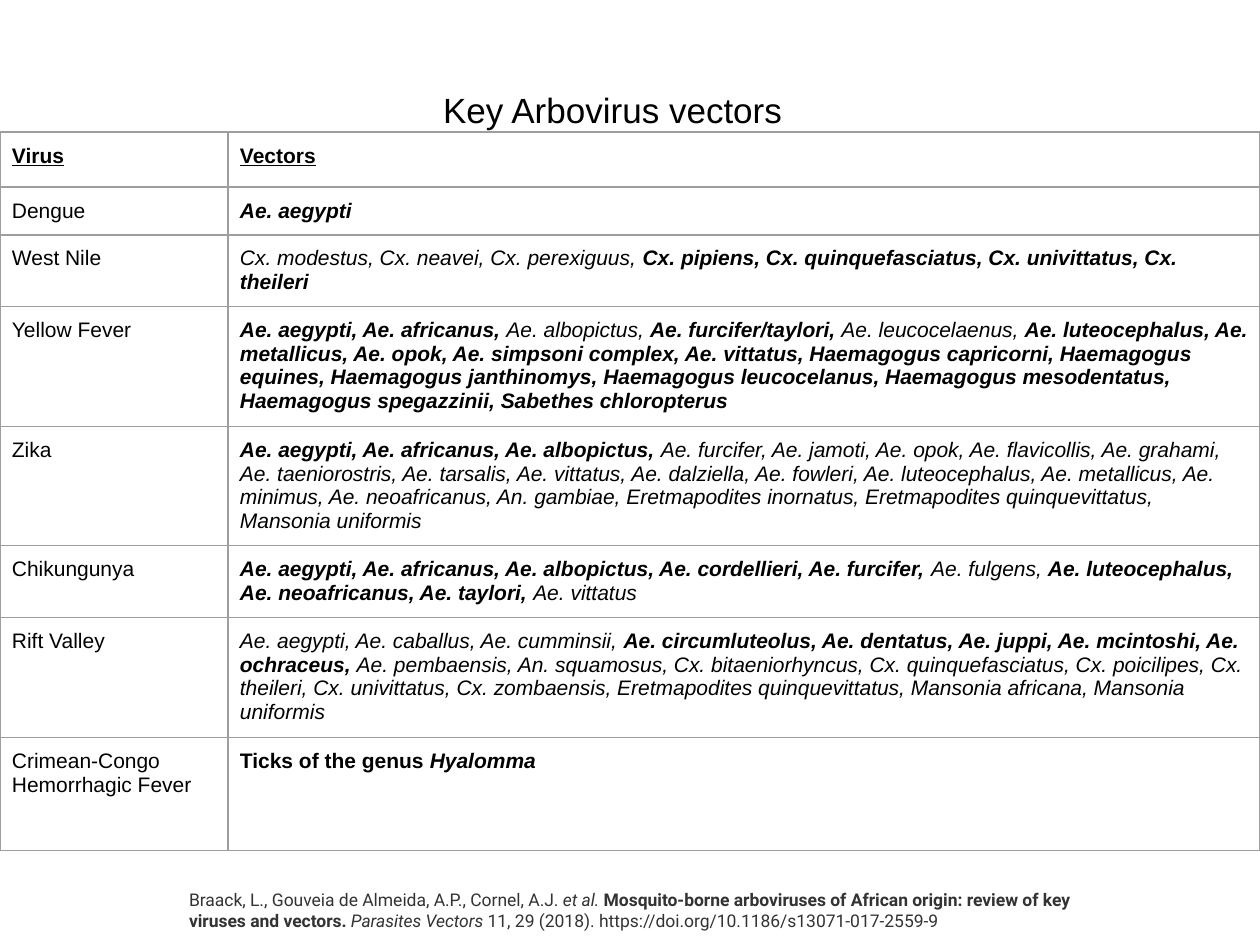
from dataclasses import dataclass

from lxml import etree
from pptx import Presentation, util as u
from pptx.dml.color import RGBColor
from pptx.enum import text
from pptx.oxml.ns import qn

PX_PER_INCH = 126


@dataclass(frozen=True)
class Theme:
    font: str = "Arial"
    citation_font: str = "Roboto"
    ink: str = "000000"
    citation_ink: str = "333333"
    border: str = "9E9E9E"
    title_size: int = 20
    table_size: int = 12
    citation_size: int = 10
    border_width: float = 0.75
    inset: int = 12


THEME = Theme()

# Each vector entry is a list of (text, style); b = bold, i = italic, u = underlined
ROWS = [
    (55, [("Virus", "bu")], [("Vectors", "bu")]),
    (48, [("Dengue", "")], [("Ae. aegypti", "bi")]),
    (72, [("West Nile", "")], [
        ("Cx. modestus, Cx. neavei, Cx. perexiguus, ", "i"),
        ("Cx. pipiens, Cx. quinquefasciatus, Cx. univittatus, Cx. theileri", "bi")]),
    (120, [("Yellow Fever", "")], [
        ("Ae. aegypti, Ae. africanus, ", "bi"),
        ("Ae. albopictus, ", "i"),
        ("Ae. furcifer/taylori, ", "bi"),
        ("Ae. leucocelaenus, ", "i"),
        ("Ae. luteocephalus, Ae. metallicus, Ae. opok, Ae. simpsoni complex, "
         "Ae. vittatus, Haemagogus capricorni, Haemagogus equines, "
         "Haemagogus janthinomys, Haemagogus leucocelanus, Haemagogus mesodentatus, "
         "Haemagogus spegazzinii, Sabethes chloropterus", "bi")]),
    (119, [("Zika", "")], [
        ("Ae. aegypti, Ae. africanus, Ae. albopictus, ", "bi"),
        ("Ae. furcifer, Ae. jamoti, Ae. opok, Ae. flavicollis, Ae. grahami, "
         "Ae. taeniorostris, Ae. tarsalis, Ae. vittatus, Ae. dalziella, Ae. fowleri, "
         "Ae. luteocephalus, Ae. metallicus, Ae. minimus, Ae. neoafricanus, "
         "An. gambiae, Eretmapodites inornatus, Eretmapodites quinquevittatus, "
         "Mansonia uniformis", "i")]),
    (72, [("Chikungunya", "")], [
        ("Ae. aegypti, Ae. africanus, Ae. albopictus, Ae. cordellieri, Ae. furcifer, ", "bi"),
        ("Ae. fulgens, ", "i"),
        ("Ae. luteocephalus, Ae. neoafricanus, Ae. taylori, ", "bi"),
        ("Ae. vittatus", "i")]),
    (120, [("Rift Valley", "")], [
        ("Ae. aegypti, Ae. caballus, Ae. cumminsii, ", "i"),
        ("Ae. circumluteolus, Ae. dentatus, Ae. juppi, Ae. mcintoshi, Ae. ochraceus, ", "bi"),
        ("Ae. pembaensis, An. squamosus, Cx. bitaeniorhyncus, Cx. quinquefasciatus, "
         "Cx. poicilipes, Cx. theileri, Cx. univittatus, Cx. zombaensis, "
         "Eretmapodites quinquevittatus, Mansonia africana, Mansonia uniformis", "i")]),
    (113, [("Crimean-Congo Hemorrhagic Fever", "")], [
        ("Ticks of the genus ", "b"), ("Hyalomma", "bi")]),
]

CITATION = [
    ("Braack, L., Gouveia de Almeida, A.P., Cornel, A.J. ", ""),
    ("et al.", "i"),
    (" ", ""),
    ("Mosquito-borne arboviruses of African origin: review of key viruses and vectors.", "b"),
    (" ", ""),
    ("Parasites Vectors", "i"),
    (" 11, 29 (2018). https://doi.org/10.1186/s13071-017-2559-9", ""),
]


def px(length):
    return u.Emu(round(length * 914400 / PX_PER_INCH))


def add_text(paragraph, words, style="", size=THEME.table_size, font=THEME.font, color=THEME.ink):
    run = paragraph.add_run()
    run.text = words
    run.font.name = font
    run.font.size = u.Pt(size)
    run.font.color.rgb = RGBColor.from_string(color)
    run.font.bold = "b" in style
    run.font.italic = "i" in style
    run.font.underline = "u" in style


def set_insets(holder):
    holder.margin_left = holder.margin_right = px(THEME.inset)
    holder.margin_top = holder.margin_bottom = px(THEME.inset)


def set_borders(cell):
    properties = cell._tc.get_or_add_tcPr()
    for side in ("a:lnL", "a:lnR", "a:lnT", "a:lnB"):
        line = etree.SubElement(properties, qn(side), w=str(u.Pt(THEME.border_width)))
        fill = etree.SubElement(line, qn("a:solidFill"))
        etree.SubElement(fill, qn("a:srgbClr"), val=THEME.border)


def place_title(slide, left, top, width, height):
    title = slide.shapes.title
    title.left, title.top, title.width, title.height = map(px, (left, top, width, height))
    frame = title.text_frame
    set_insets(frame)
    frame.auto_size = text.MSO_AUTO_SIZE.NONE
    frame.vertical_anchor = text.MSO_ANCHOR.BOTTOM
    paragraph = frame.paragraphs[0]
    paragraph.alignment = text.PP_ALIGN.CENTER
    add_text(paragraph, "Key Arbovirus vectors ", size=THEME.title_size)


def place_vector_table(slide, left, top, width, virus_width):
    height = sum(row[0] for row in ROWS)
    table = slide.shapes.add_table(
        len(ROWS), 2, px(left), px(top), px(width), px(height)).table
    table.first_row = table.horz_banding = False
    table.columns[0].width = px(virus_width)
    table.columns[1].width = px(width - virus_width)
    for table_row, (row_height, *contents) in zip(table.rows, ROWS):
        table_row.height = px(row_height)
        for cell, runs in zip(table_row.cells, contents):
            set_insets(cell)
            set_borders(cell)
            cell.fill.background()
            for words, style in runs:
                add_text(cell.text_frame.paragraphs[0], words, style)


def place_citation(slide, left, top, width, height):
    frame = slide.shapes.add_textbox(*map(px, (left, top, width, height))).text_frame
    frame.word_wrap = True
    set_insets(frame)
    for words, style in CITATION:
        add_text(frame.paragraphs[0], words, style, size=THEME.citation_size,
                 font=THEME.citation_font, color=THEME.citation_ink)


def main():
    presentation = Presentation()
    presentation.slide_width, presentation.slide_height = px(1260), px(945)
    slide = presentation.slides.add_slide(presentation.slide_layouts[0])

    # The title layout's subtitle is not used
    subtitle = slide.placeholders[1].element
    subtitle.getparent().remove(subtitle)

    place_title(slide, 30, 45, 1175, 98)
    place_vector_table(slide, 0, 132, 1260, 228)
    place_citation(slide, 177, 877, 941, 68)
    presentation.save("out.pptx")


if __name__ == "__main__":
    main()
